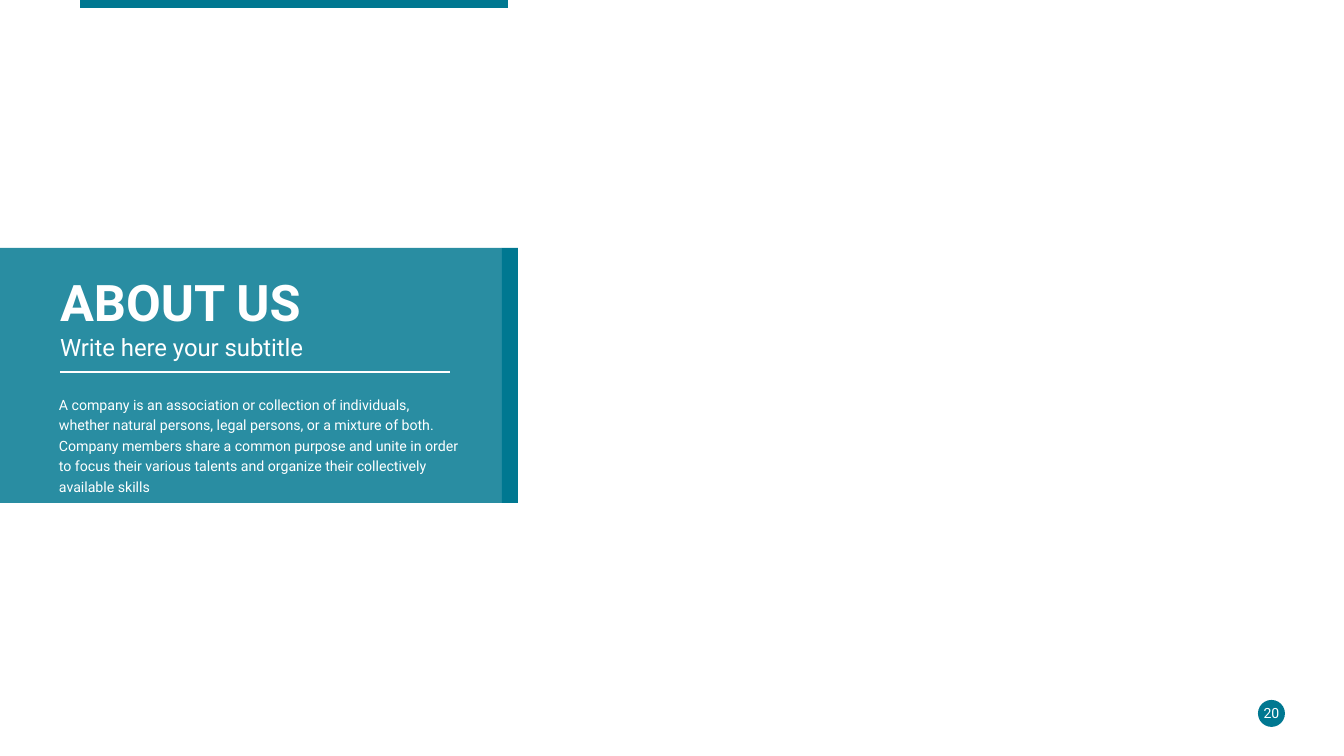
from lxml.etree import SubElement
from pptx import Presentation
from pptx.dml.color import RGBColor
from pptx.enum.shapes import MSO_CONNECTOR, MSO_SHAPE
from pptx.enum.text import MSO_ANCHOR, PP_ALIGN
from pptx.oxml.ns import qn
from pptx.util import Pt

PX = 914400 / 134.4
TEAL = "007891"
WHITE = "FFFFFF"
LEFT = 60


def add_block(kind, *bounds):
    block = page.shapes.add_shape(kind, *[round(value * PX) for value in bounds])
    block.shadow.inherit = False
    block.fill.solid()
    block.fill.fore_color.rgb = RGBColor.from_string(TEAL)
    block.line.fill.background()
    return block


def add_text(text, bounds, size, spacing=1.0, bold=False):
    box = page.shapes.add_textbox(*[round(value * PX) for value in bounds])
    frame = box.text_frame
    frame.word_wrap = True
    frame.margin_left = frame.margin_right = frame.margin_top = frame.margin_bottom = 0
    frame.text = text
    para = frame.paragraphs[0]
    para.line_spacing = spacing
    span = para.runs[0]
    span.font.name = "Roboto"
    span.font.size = Pt(size)
    span.font.bold = bold
    span.font.color.rgb = RGBColor.from_string(WHITE)
    return frame


deck = Presentation()
deck.slide_width = round(1344 * PX)
deck.slide_height = round(756 * PX)
page = deck.slides.add_slide(deck.slide_layouts[6])

# Panel with a solid right edge
add_block(MSO_SHAPE.RECTANGLE, 502, 248, 16, 255)
panel = add_block(MSO_SHAPE.RECTANGLE, 0, 248, 502, 255)
panel_color = panel.fill._xPr.find(qn("a:solidFill"))[0]
SubElement(panel_color, qn("a:alpha")).set("val", "84000")

# Rule under the subtitle
rule = page.shapes.add_connector(
    MSO_CONNECTOR.STRAIGHT, *[round(value * PX) for value in (LEFT, 372, 450, 372)]
)
rule.line.color.rgb = RGBColor.from_string(WHITE)
rule.line.width = Pt(1)
SubElement(rule._element.spPr, qn("a:effectLst"))

# Panel text
add_text(
    "A company is an association or collection of individuals, whether natural "
    "persons, legal persons, or a mixture of both. Company members share a common "
    "purpose and unite in order to focus their various talents and organize their "
    "collectively available skills",
    (LEFT - 1, 393, 402, 82), 7.6, spacing=1.2,
)
add_text("Write here your subtitle", (LEFT, 336, 364, 44), 12.75, spacing=0.9)
add_text("ABOUT US", (LEFT, 278, 882, 60), 27, spacing=0.9, bold=True)

# Top bar
add_block(MSO_SHAPE.RECTANGLE, 80, 0, 428, 8)

# Page number
add_block(MSO_SHAPE.OVAL, 1258, 700, 27, 27)
number = add_text("20", (1258, 702, 27, 22), 7.5)
number.vertical_anchor = MSO_ANCHOR.MIDDLE
number.paragraphs[0].alignment = PP_ALIGN.CENTER

deck.save("out.pptx")
